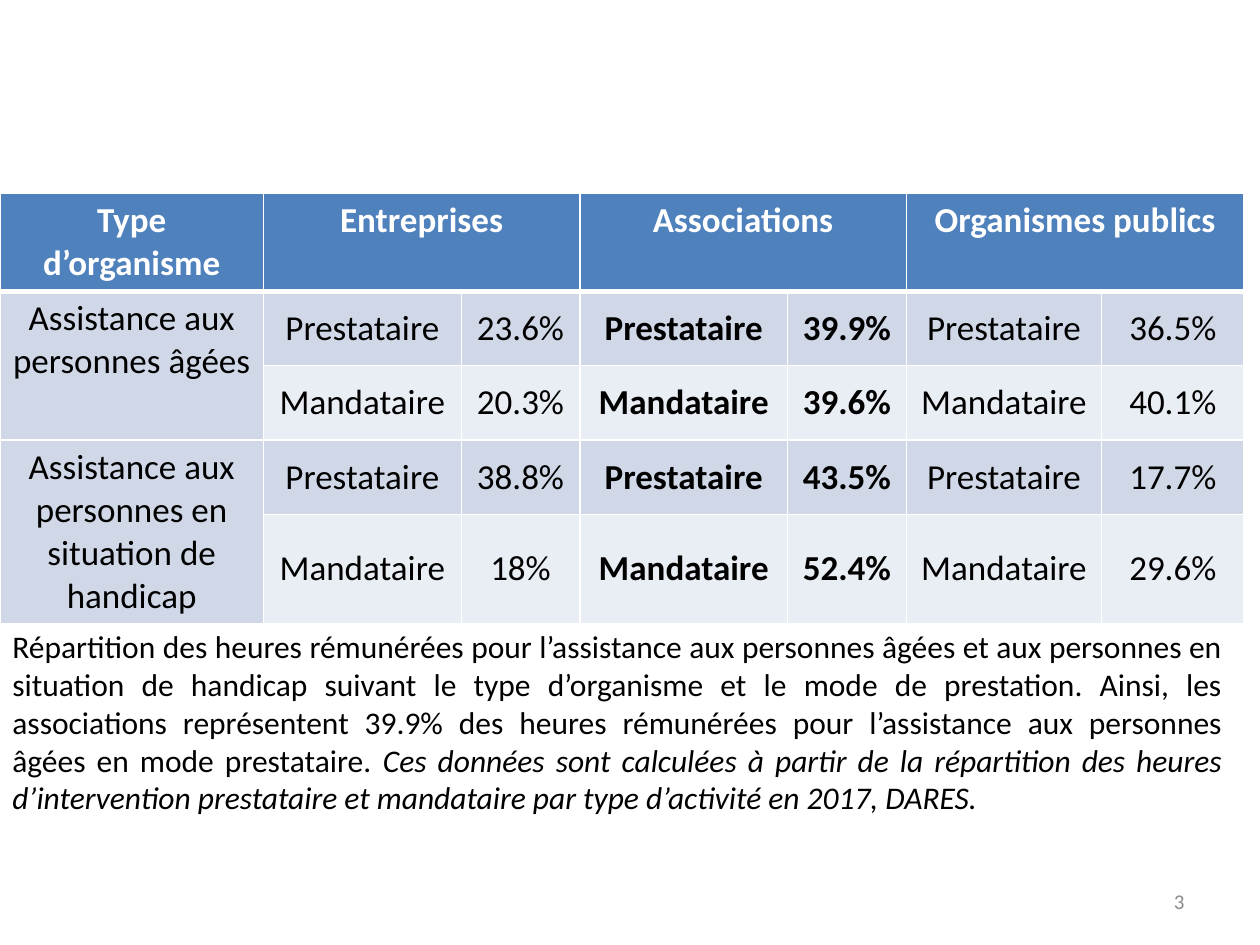
from dataclasses import dataclass

from lxml import etree
from pptx import Presentation
from pptx import util as u
from pptx.dml.color import RGBColor
from pptx.enum import text
from pptx.oxml import ns


@dataclass(frozen=True)
class Theme:
    font: str = "Calibri"
    ink: str = "000000"
    white: str = "FFFFFF"
    muted: str = "8C8C8C"
    header: str = "4F81BD"
    band_dark: str = "D0D8E8"
    band_light: str = "E9EDF4"
    table_size: int = 20
    caption_size: int = 18
    number_size: int = 12
    thin: int = 1
    thick: int = 3


THEME = Theme()
CENTER = text.PP_ALIGN.CENTER
TOP, MIDDLE = text.MSO_ANCHOR.TOP, text.MSO_ANCHOR.MIDDLE

COLUMN_WIDTHS = [5.31, 3.99, 2.39, 4.19, 2.39, 3.94, 2.87]
ROW_HEIGHTS = [1.98, 1.5, 1.5, 1.5, 2.2]
ORGANISATIONS = ["Entreprises", "Associations", "Organismes publics"]
HIGHLIGHTED = "Associations"
MODES = ["Prestataire", "Mandataire"]
ACTIVITIES = [
    ("Assistance aux personnes âgées",
     [["23.6%", "39.9%", "36.5%"], ["20.3%", "39.6%", "40.1%"]]),
    ("Assistance aux personnes en situation de handicap",
     [["38.8%", "43.5%", "17.7%"], ["18%", "52.4%", "29.6%"]]),
]
CAPTION = (
    "Répartition des heures rémunérées pour l’assistance aux personnes âgées et aux "
    "personnes en situation de handicap suivant le type d’organisme et le mode de "
    "prestation. Ainsi, les associations représentent 39.9% des heures rémunérées pour "
    "l’assistance aux personnes âgées en mode prestataire. "
)
CAPTION_SOURCE = (
    "Ces données sont calculées à partir de la répartition des heures d’intervention "
    "prestataire et mandataire par type d’activité en 2017, DARES."
)


def add_run(paragraph, words, size, color, bold=False, italic=False):
    run = paragraph.add_run()
    run.text = words
    font = run.font
    font.name, font.size = THEME.font, u.Pt(size)
    font.bold, font.italic = bold, italic
    font.color.rgb = RGBColor.from_string(color)


def set_borders(cell, top, bottom):
    properties = cell._tc.get_or_add_tcPr()
    widths = {"a:lnL": THEME.thin, "a:lnR": THEME.thin, "a:lnT": top, "a:lnB": bottom}
    for tag, width in widths.items():
        line = etree.SubElement(properties, ns.qn(tag), w=str(u.Pt(width)))
        fill = etree.SubElement(line, ns.qn("a:solidFill"))
        etree.SubElement(fill, ns.qn("a:srgbClr"), val=THEME.white)


def paint_cells(table):
    """Give every cell its fill and white borders, merged cells included."""
    for row_index, row in enumerate(table.rows):
        for cell in row.cells:
            set_borders(cell,
                        top=THEME.thick if row_index == 1 else THEME.thin,
                        bottom=THEME.thick if row_index == 0 else THEME.thin)
            if row_index == 0:
                color = THEME.header
            else:
                color = THEME.band_dark if row_index % 2 else THEME.band_light
            cell.fill.solid()
            cell.fill.fore_color.rgb = RGBColor.from_string(color)


def write_cell(cell, words, color=THEME.ink, bold=False, anchor=MIDDLE):
    cell.vertical_anchor = anchor
    paragraph = cell.text_frame.paragraphs[0]
    paragraph.alignment = CENTER
    add_run(paragraph, words, THEME.table_size, color, bold)


def add_hours_table(slide, left, top):
    shape = slide.shapes.add_table(
        len(ROW_HEIGHTS), len(COLUMN_WIDTHS), u.Cm(left), u.Cm(top),
        u.Cm(sum(COLUMN_WIDTHS)), u.Cm(sum(ROW_HEIGHTS)))
    table = shape.table
    for column, width in zip(table.columns, COLUMN_WIDTHS):
        column.width = u.Cm(width)
    for row, height in zip(table.rows, ROW_HEIGHTS):
        row.height = u.Cm(height)
    paint_cells(table)

    write_cell(table.cell(0, 0), "Type d’organisme", THEME.white, True, TOP)
    for index, organisation in enumerate(ORGANISATIONS):
        column = 1 + 2 * index
        heading = table.cell(0, column)
        heading.merge(table.cell(0, column + 1))
        write_cell(heading, organisation, THEME.white, True, TOP)

    for index, (activity, shares_by_mode) in enumerate(ACTIVITIES):
        first_row = 1 + len(MODES) * index
        label = table.cell(first_row, 0)
        label.merge(table.cell(first_row + len(MODES) - 1, 0))
        write_cell(label, activity, anchor=TOP)
        for row, (mode, shares) in enumerate(zip(MODES, shares_by_mode), first_row):
            for position, (organisation, share) in enumerate(zip(ORGANISATIONS, shares)):
                column = 1 + 2 * position
                bold = organisation == HIGHLIGHTED
                write_cell(table.cell(row, column), mode, bold=bold)
                write_cell(table.cell(row, column + 1), share, bold=bold)


def add_text_box(slide, box, alignment, anchor=TOP):
    """Add a wrapping text box and return its first paragraph."""
    frame = slide.shapes.add_textbox(*(u.Cm(length) for length in box)).text_frame
    frame.word_wrap = True
    frame.vertical_anchor = anchor
    paragraph = frame.paragraphs[0]
    paragraph.alignment = alignment
    return paragraph


def add_caption(slide, box):
    paragraph = add_text_box(slide, box, text.PP_ALIGN.JUSTIFY)
    add_run(paragraph, CAPTION, THEME.caption_size, THEME.ink)
    add_run(paragraph, CAPTION_SOURCE, THEME.caption_size, THEME.ink, italic=True)


def add_slide_number(slide, box, number):
    paragraph = add_text_box(slide, box, text.PP_ALIGN.RIGHT, MIDDLE)
    add_run(paragraph, number, THEME.number_size, THEME.muted)


def main():
    presentation = Presentation()
    presentation.slide_width, presentation.slide_height = u.Cm(25.4), u.Cm(19.05)
    slide = presentation.slides.add_slide(presentation.slide_layouts.get_by_name("Blank"))
    add_slide_number(slide, (18.2, 17.66, 5.93, 1.01), "3")
    add_hours_table(slide, 0, 3.89)
    add_caption(slide, (0, 12.52, 24.9, 4.11))
    presentation.save("out.pptx")


if __name__ == "__main__":
    main()
